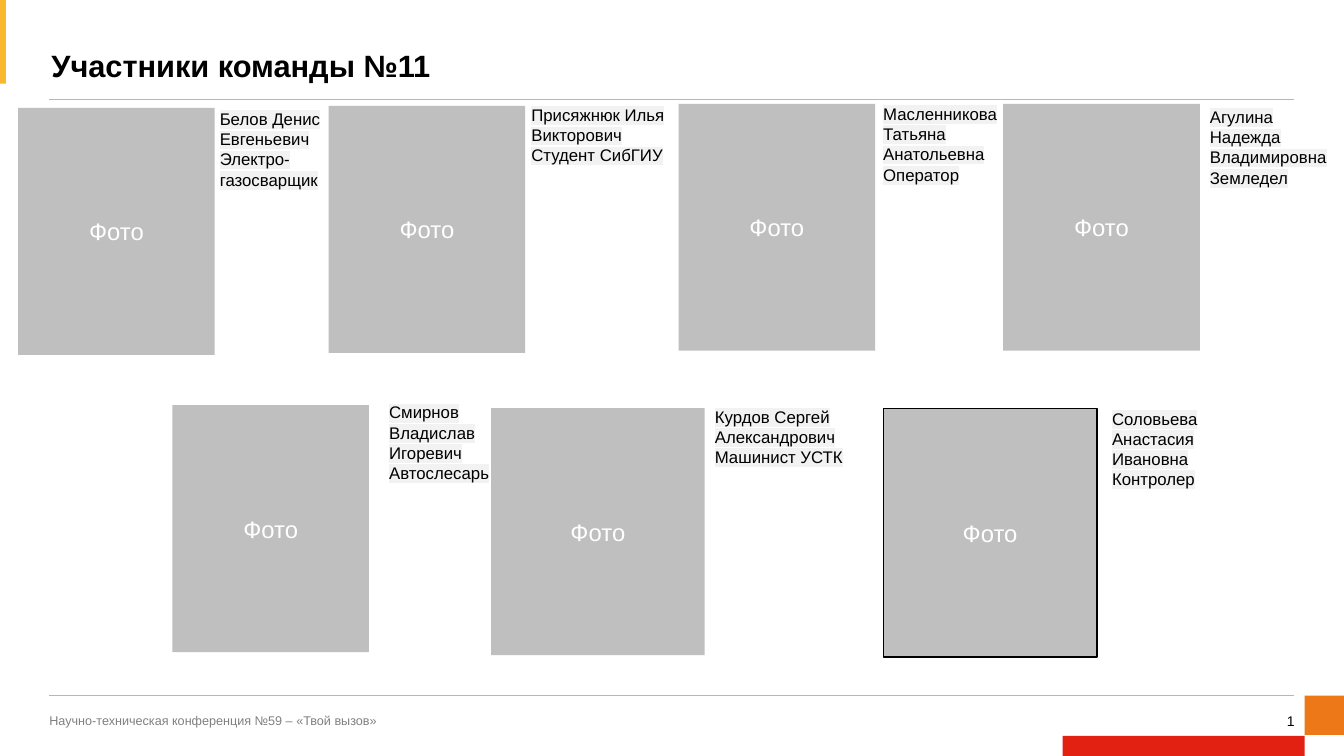
from dataclasses import dataclass

from lxml.etree import Element, SubElement
from pptx import Presentation
from pptx.dml.color import RGBColor
from pptx.enum.shapes import MSO_CONNECTOR, MSO_SHAPE
from pptx.enum.text import MSO_ANCHOR, MSO_AUTO_SIZE, PP_ALIGN
from pptx.oxml.ns import qn
from pptx.slide import Slide
from pptx.util import Inches, Pt

COLORS = {
    "orange": "ED7817", "red": "E32112", "yellow": "FAB82E",
    "rule": "B7B7B6", "photo": "BFBFBF", "highlight": "F2F2F2",
    "black": "000000", "footer": "808080", "white": "FFFFFF",
}
FRAME = {"word_wrap": True, "margin_left": 0, "margin_top": 0,
         "margin_right": 0, "margin_bottom": 0}
TITLE = {"size": Pt(22), "bold": True}


@dataclass
class Block:
    left: float
    top: float
    width: float
    height: float
    color: str


@dataclass
class Member:
    photo_left: float
    photo_top: float
    name_left: float
    name_top: float
    name: str
    job: str
    photo_width: float = 1.95
    photo_height: float = 2.45
    outlined: bool = False
    name_height: float = 0.81


BLOCKS = [
    Block(12.94, 6.9, 0.39, 0.39, "orange"),
    Block(10.54, 7.3, 2.4, 0.2, "red"),
    Block(0, 0, 0.06, 0.83, "yellow"),
]
MEMBERS = [
    Member(0.18, 1.07, 2.18, 1.08, "Белов Денис Евгеньевич", "Электро-газосварщик"),
    Member(3.26, 1.05, 5.27, 1.04, "Присяжнюк Илья Викторович", "Студент СибГИУ",
           name_height=0.61),
    Member(6.73, 1.03, 8.76, 1.03, "Масленникова Татьяна Анатольевна", "Оператор"),
    Member(9.95, 1.03, 12, 1.06, "Агулина Надежда Владимировна", "Земледел"),
    Member(1.71, 4.02, 3.86, 3.99, "Смирнов Владислав Игоревич", "Автослесарь"),
    Member(4.87, 4.05, 7.09, 4.03, "Курдов Сергей Александрович", "Машинист УСТК",
           photo_width=2.12, name_height=0.61),
    Member(8.76, 4.05, 11.03, 4.05, "Соловьева Анастасия Ивановна", "Контролер",
           photo_width=2.12, photo_height=2.47, outlined=True),
]


def rgb(color: str) -> RGBColor:
    return RGBColor.from_string(COLORS[color])


def apply(target, formats: dict) -> None:
    for attribute, value in formats.items():
        setattr(target, attribute, value)


def add_run(paragraph, text: str, color: str, formats: dict):
    run = paragraph.add_run()
    run.text = text
    apply(run.font, {"name": "Arial", **formats})
    run.font.color.rgb = rgb(color)
    return run


def highlight(run) -> None:
    marker = Element(qn("a:highlight"))
    SubElement(marker, qn("a:srgbClr"), val=COLORS["highlight"])
    run.font._element.find(qn("a:solidFill")).addnext(marker)


def add_block(slide: Slide, block: Block):
    rectangle = slide.shapes.add_shape(
        MSO_SHAPE.RECTANGLE, Inches(block.left), Inches(block.top),
        Inches(block.width), Inches(block.height))
    rectangle.shadow.inherit = False
    rectangle.fill.solid()
    rectangle.fill.fore_color.rgb = rgb(block.color)
    rectangle.line.fill.background()
    return rectangle


def add_rule(slide: Slide, top: float) -> None:
    rule = slide.shapes.add_connector(
        MSO_CONNECTOR.STRAIGHT, Inches(0.49), Inches(top), Inches(12.83), Inches(top))
    rule.line.color.rgb = rgb("rule")
    rule.line.width = Pt(0.5)
    SubElement(rule._element.spPr, qn("a:effectLst"))


def add_frame(slide: Slide, left: float, top: float, width: float, height: float,
              formats: dict):
    frame = slide.shapes.add_textbox(
        Inches(left), Inches(top), Inches(width), Inches(height)).text_frame
    apply(frame, {**FRAME, **formats})
    return frame


def add_photo(slide: Slide, member: Member) -> None:
    photo = add_block(slide, Block(member.photo_left, member.photo_top,
                                   member.photo_width, member.photo_height, "photo"))
    if member.outlined:
        photo.line.color.rgb = rgb("black")
        photo.line.width = Pt(1)
    photo.text_frame.vertical_anchor = MSO_ANCHOR.MIDDLE
    caption = photo.text_frame.paragraphs[0]
    caption.alignment = PP_ALIGN.CENTER
    add_run(caption, "Фото", "white", {"size": Pt(17)})


def add_name(slide: Slide, member: Member) -> None:
    frame = add_frame(slide, member.name_left, member.name_top, 1.33, member.name_height,
                      {"auto_size": MSO_AUTO_SIZE.SHAPE_TO_FIT_TEXT})
    for paragraph, text in ((frame.paragraphs[0], member.name),
                            (frame.add_paragraph(), member.job)):
        highlight(add_run(paragraph, text, "black", {"size": Pt(12)}))


def main() -> None:
    deck = Presentation()
    apply(deck, {"slide_width": Inches(13.33), "slide_height": Inches(7.5)})
    slide = deck.slides.add_slide(deck.slide_layouts[6])

    # Corner blocks and rules
    for block in BLOCKS:
        add_block(slide, block)
    for top in (0.99, 6.9):
        add_rule(slide, top)

    # Title
    title = add_frame(slide, 0.51, 0.51, 10.68, 0.32,
                      {"vertical_anchor": MSO_ANCHOR.BOTTOM}).paragraphs[0]
    title.line_spacing = Pt(23)
    add_run(title, "Участники команды №11", "black", TITLE)

    # Footer and page number
    middle = {"vertical_anchor": MSO_ANCHOR.MIDDLE}
    conference = add_frame(slide, 0.49, 7.02, 11.87, 0.25, middle).paragraphs[0]
    add_run(conference, "Научно-техническая конференция №59 – «Твой вызов»",
            "footer", {"size": Pt(9)})
    page = add_frame(slide, 12.48, 7.07, 0.36, 0.17, middle).paragraphs[0]
    page.alignment = PP_ALIGN.RIGHT
    add_run(page, "1", "black", {"size": Pt(10)})

    # Team: photos first, names above them
    for member in MEMBERS:
        add_photo(slide, member)
    for member in MEMBERS:
        add_name(slide, member)

    deck.save("out.pptx")


if __name__ == "__main__":
    main()
